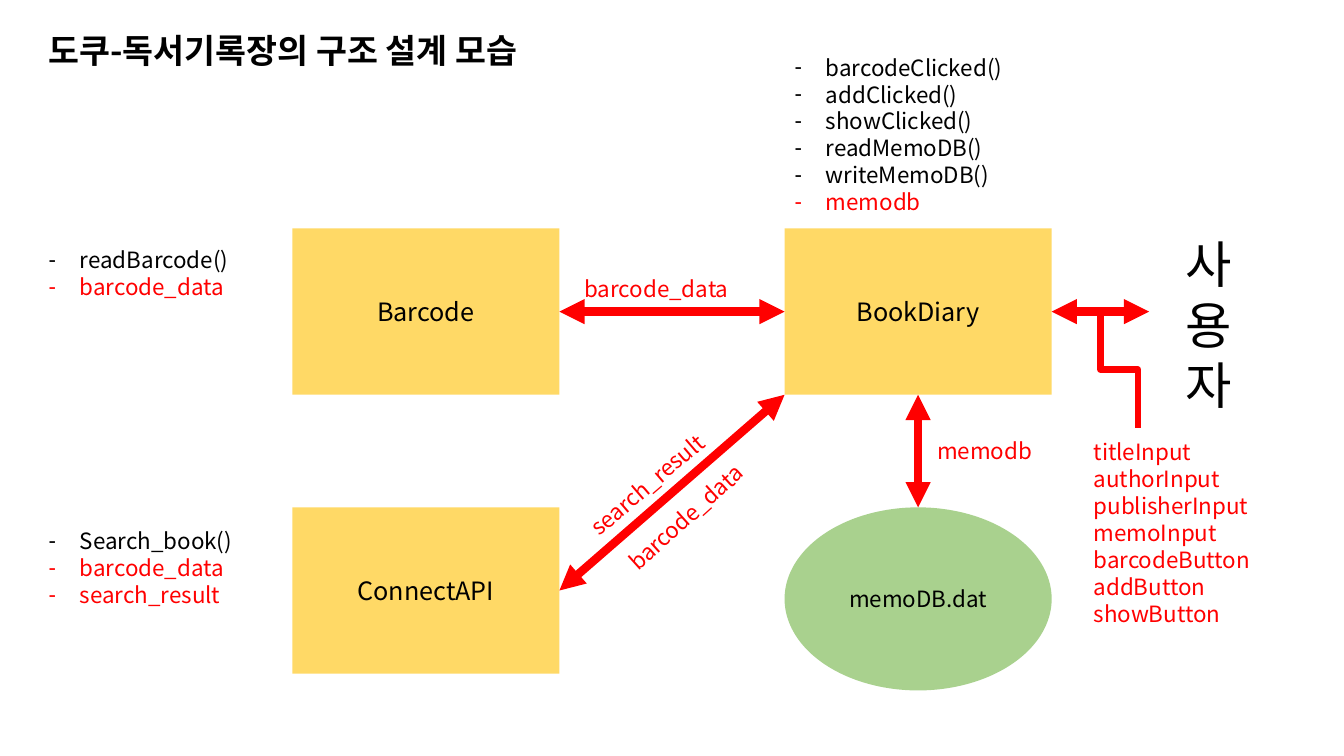
"""Build the structure slide of the reading diary app."""
from dataclasses import dataclass
from typing import NamedTuple

from lxml import etree
from pptx import Presentation
from pptx.dml.color import RGBColor
from pptx.enum.shapes import MSO_CONNECTOR, MSO_SHAPE
from pptx.enum.text import MSO_ANCHOR, MSO_AUTO_SIZE, PP_ALIGN
from pptx.oxml.ns import qn
from pptx.util import Emu, Inches, Pt

RECT, OVAL = MSO_SHAPE.RECTANGLE, MSO_SHAPE.OVAL
LINE, ELBOW = MSO_CONNECTOR.STRAIGHT, MSO_CONNECTOR.ELBOW
TOP, MID = MSO_ANCHOR.TOP, MSO_ANCHOR.MIDDLE
LEFT, MIDDLE = PP_ALIGN.LEFT, PP_ALIGN.CENTER
FIXED = MSO_AUTO_SIZE.NONE
WIDE, HIGH = Inches(13.333), Inches(7.5)
COLS, ROWS = 160, 90


@dataclass(frozen=True)
class Theme:
    font: str = "Noto Sans CJK KR"
    ink: str = "000000"
    red: str = "FF0000"
    gold: str = "FFD966"
    green: str = "A9D18E"
    head: int = 24
    name: int = 18
    note: int = 16
    user: int = 36
    thick: float = 6
    thin: float = 4.5
    lead: float = 1.2
    dent: float = 0.31


class Point(NamedTuple):
    x: float
    y: float


class Area(NamedTuple):
    x: float
    y: float
    w: float
    h: float

    def at(self, across: float, down: float) -> Point:
        return Point(self.x + self.w * across, self.y + self.h * down)


class Text(NamedTuple):
    text: str
    color: str


class Node(NamedTuple):
    area: Area
    kind: int
    fill: str
    text: str
    size: int


class Group(NamedTuple):
    slot: int
    area: Area
    rows: list[Text]
    dash: bool


class Label(NamedTuple):
    area: Area
    turn: float
    rows: list[Text]
    size: int


THEME = Theme()


def col(n: float) -> Emu:
    return Emu(round(WIDE * n / COLS))


def row(n: float) -> Emu:
    return Emu(round(HIGH * n / ROWS))


def place(shape, area: Area) -> None:
    shape.left, shape.top = col(area.x), row(area.y)
    shape.width, shape.height = col(area.w), row(area.h)


def texts(words: str, color: str) -> list[Text]:
    return [Text(word, color) for word in words.split()]


def write(frame, rows: list[Text], size: int, bold=False, align=LEFT, anchor=TOP) -> None:
    frame.word_wrap, frame.auto_size = True, FIXED
    frame.vertical_anchor = anchor
    for i, item in enumerate(rows):
        para = frame.add_paragraph() if i else frame.paragraphs[0]
        para.alignment = align
        para.line_spacing = Pt(size * THEME.lead)
        para.space_before = para.space_after = Pt(0)
        run = para.add_run()
        run.text = item.text
        font = run.font
        font.name, font.size, font.bold = THEME.font, Pt(size), bold
        font.color.rgb = RGBColor.from_string(item.color)
        east = etree.SubElement(run.font._element, qn("a:ea"))
        east.set("typeface", THEME.font)


def mark(frame, dash: bool) -> None:
    dent = Inches(THEME.dent) if dash else 0
    for para in frame.paragraphs:
        props = para._p.get_or_add_pPr()
        props.set("marL", str(dent))
        props.set("indent", str(-dent))
        if dash:
            etree.SubElement(props, qn("a:buChar")).set("char", "-")
        else:
            etree.SubElement(props, qn("a:buNone"))


def add_node(shapes, node: Node) -> None:
    shape = shapes.add_shape(node.kind, 0, 0, 0, 0)
    place(shape, node.area)
    shape.shadow.inherit = False
    shape.fill.solid()
    shape.fill.fore_color.rgb = RGBColor.from_string(node.fill)
    shape.line.fill.background()
    write(shape.text_frame, [Text(node.text, THEME.ink)], node.size, align=MIDDLE, anchor=MID)


def add_group(slide, group: Group) -> None:
    shape = slide.placeholders[group.slot]
    place(shape, group.area)
    write(shape.text_frame, group.rows, THEME.note)
    mark(shape.text_frame, group.dash)


def add_label(shapes, label: Label) -> None:
    box = shapes.add_textbox(0, 0, 0, 0)
    place(box, label.area)
    box.rotation = label.turn
    write(box.text_frame, label.rows, label.size)


def add_line(shapes, kind: int, start: tuple, end: tuple, width: float):
    line = shapes.add_connector(kind, *start, *end)
    line.line.color.rgb = RGBColor.from_string(THEME.red)
    line.line.width = Pt(width)
    etree.SubElement(line.element.spPr, qn("a:effectLst"))
    return line


def add_arrow(shapes, start: Point, end: Point) -> None:
    line = add_line(shapes, LINE, (col(start.x), row(start.y)), (col(end.x), row(end.y)), THEME.thick)
    edge = line.element.spPr.find(qn("a:ln"))
    for tip in ("a:headEnd", "a:tailEnd"):
        etree.SubElement(edge, qn(tip)).set("type", "triangle")


def add_bend(shapes, start: Point, end: Point) -> None:
    mid_x, mid_y = col((start.x + end.x) / 2), row((start.y + end.y) / 2)
    half_x, half_y = col((end.x - start.x) / 2), row((end.y - start.y) / 2)
    line = add_line(shapes, ELBOW, (mid_x + half_y, mid_y - half_x),
                    (mid_x - half_y, mid_y + half_x), THEME.thin)
    line.element.spPr.find(qn("a:xfrm")).set("rot", str(270 * 60000))


def main() -> None:
    deck = Presentation()
    deck.slide_width, deck.slide_height = WIDE, HIGH
    slide = deck.slides.add_slide(deck.slide_layouts[4])
    shapes, ink, red = slide.shapes, THEME.ink, THEME.red
    edge, near, far, high, low, wide, tall = 4.6, 34.8, 93.4, 27.2, 60.4, 31.8, 19.8
    code, diary, link = (Area(x, y, wide, tall) for x, y in ((near, high), (far, high), (near, low)))
    store = Area(far, low, wide, 21.8)

    place(shapes.title, Area(edge, 3, 66, 6))
    write(shapes.title.text_frame, [Text("도쿠-독서기록장의 구조 설계 모습", ink)], THEME.head, bold=True)
    calls = "barcodeClicked() addClicked() showClicked() readMemoDB() writeMemoDB()"
    fields = "titleInput authorInput publisherInput memoInput barcodeButton addButton showButton"
    for group in (
        Group(1, Area(edge, 28.7, 28.8, 11.3), texts("readBarcode()", ink) + texts("barcode_data", red), True),
        Group(2, Area(edge, 62.2, 28.8, 17.8),
              texts("Search_book()", ink) + texts("barcode_data search_result", red), True),
        Group(3, Area(far, 5.8, wide, 20.6), texts(calls, ink) + texts("memodb", red), True),
        Group(4, Area(129, 51.6, 30.8, 23.9), texts(fields, red), False),
    ):
        add_group(slide, group)
    for node in (
        Node(code, RECT, THEME.gold, "Barcode", THEME.name),
        Node(diary, RECT, THEME.gold, "BookDiary", THEME.name),
        Node(link, RECT, THEME.gold, "ConnectAPI", THEME.name),
        Node(store, OVAL, THEME.green, "memoDB.dat", THEME.note),
    ):
        add_node(shapes, node)
    port = diary.at(1, 0.5)
    for start, end in (
        (code.at(1, 0.5), diary.at(0, 0.5)),
        (store.at(0.5, 0), diary.at(0.5, 1)),
        (link.at(1, 0.5), diary.at(0, 1)),
        (Point(136.8, port.y), port),
    ):
        add_arrow(shapes, start, end)
    add_bend(shapes, Point(131, port.y), Point(135.5, 50.9))
    for x, y, turn, word in (
        (68.4, 32.2, 0, "barcode_data"),
        (67, 54.1, 319.4, "search_result"),
        (110.4, 51.5, 0, "memodb"),
        (71.4, 58.1, 318, "barcode_data"),
    ):
        add_label(shapes, Label(Area(x, y, 23.3, 4.4), turn, texts(word, red), THEME.note))
    add_label(shapes, Label(Area(139.9, high, 10, 23), 0, texts("사 용 자", ink), THEME.user))
    deck.save("out.pptx")


if __name__ == "__main__":
    main()
